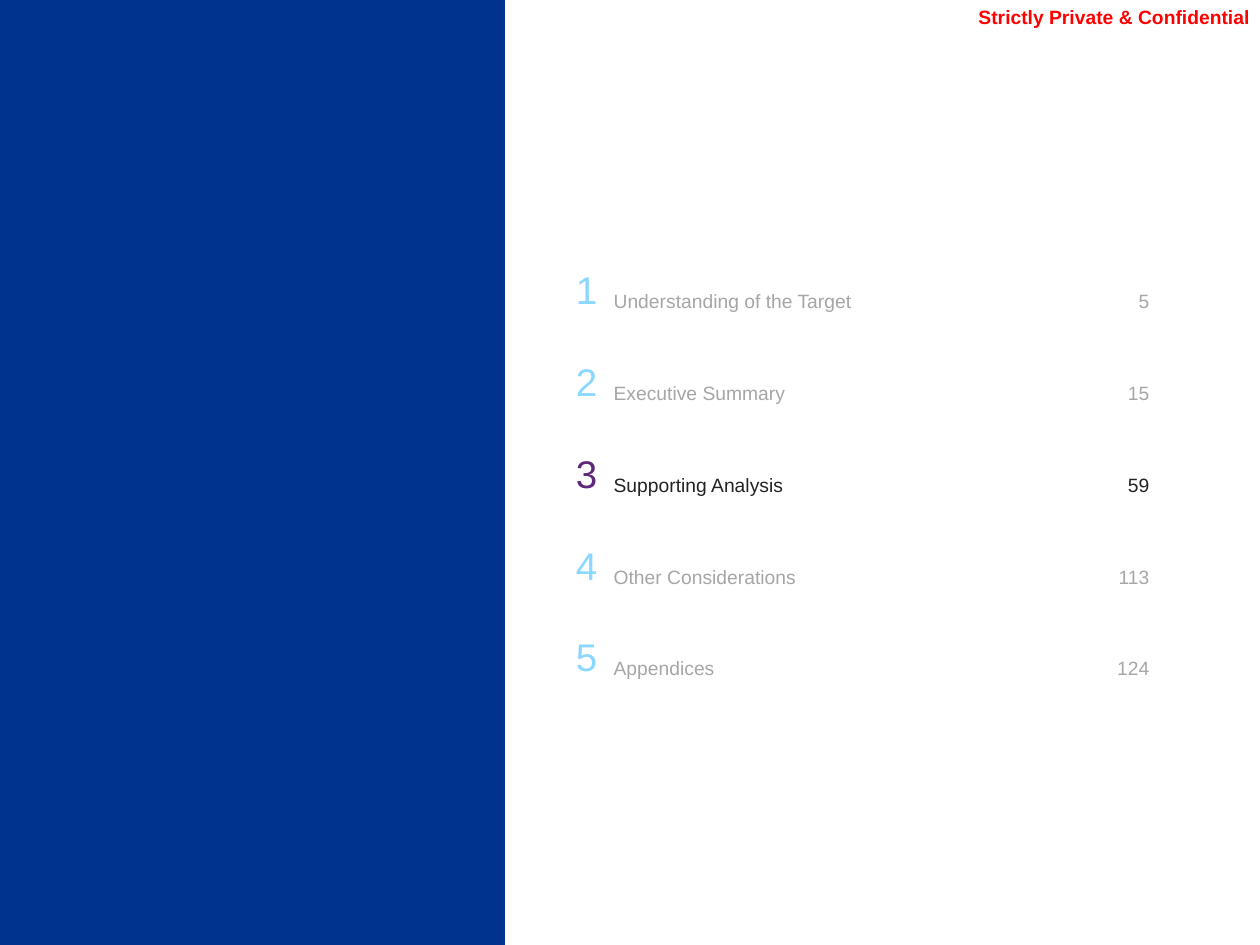
import pptx
import pptx.dml.color
import pptx.enum.shapes
import pptx.enum.text
import pptx.util

Cm = pptx.util.Cm
ALIGN = pptx.enum.text.PP_ALIGN
ANCHOR = pptx.enum.text.MSO_ANCHOR

FONT = "Arial"
PANEL_BLUE = "00338D"
WARNING_RED = "FF0000"
MUTED = {"number": "8AD8FF", "text": "A6A6A6"}
ACTIVE = {"number": "5D287A", "text": "232323"}

SECTIONS = [
    ("Understanding of the Target", 5),
    ("Executive Summary", 15),
    ("Supporting Analysis", 59),
    ("Other Considerations", 113),
    ("Appendices", 124),
]
ACTIVE_SECTION = 3
COLUMN_WIDTHS = (1.32, 9.83, 1.3)
ROW_HEIGHT = 1.85

# Cell margins in cm: left, top, right, bottom
NUMBER_MARGINS = (0.23, 0.13, 0.23, 0.13)
TITLE_MARGINS = (0.1, 0.56, 0, 0.13)
PAGE_MARGINS = (0.23, 0.56, 0.23, 0.13)


def rgb(hex_colour):
    return pptx.dml.color.RGBColor.from_string(hex_colour)


def write_text(frame, text, *, size=11, colour, bold=False, align=ALIGN.LEFT):
    paragraph = frame.paragraphs[0]
    paragraph.alignment = align
    run = paragraph.add_run()
    run.text = text
    run.font.name = FONT
    run.font.size = pptx.util.Pt(size)
    run.font.bold = bold
    run.font.color.rgb = rgb(colour)


def set_margins(holder, margins):
    (holder.margin_left, holder.margin_top,
     holder.margin_right, holder.margin_bottom) = map(Cm, margins)


def add_panel(slide, width, height):
    panel = slide.shapes.add_shape(
        pptx.enum.shapes.MSO_SHAPE.RECTANGLE, 0, 0, width, height)
    panel.shadow.inherit = False
    panel.fill.solid()
    panel.fill.fore_color.rgb = rgb(PANEL_BLUE)
    panel.line.fill.background()


def add_confidentiality_note(slide):
    note = slide.shapes.add_textbox(Cm(18.95), Cm(-0.03), Cm(6.35), Cm(0.71))
    frame = note.text_frame
    frame.word_wrap = True
    frame.vertical_anchor = ANCHOR.BOTTOM
    set_margins(frame, (0, 0.1, 0.1, 0.1))
    write_text(frame, "Strictly Private & Confidential",
               colour=WARNING_RED, bold=True, align=ALIGN.RIGHT)


def fill_cell(cell, text, margins, **text_format):
    cell.fill.background()
    cell.vertical_anchor = ANCHOR.MIDDLE
    set_margins(cell, margins)
    write_text(cell.text_frame, text, **text_format)


def add_contents(slide):
    contents = slide.shapes.add_table(
        len(SECTIONS), len(COLUMN_WIDTHS), Cm(10.95), Cm(4.95),
        Cm(sum(COLUMN_WIDTHS)), Cm(ROW_HEIGHT * len(SECTIONS))).table
    contents.first_row = False
    contents.horz_banding = False
    for column, width in zip(contents.columns, COLUMN_WIDTHS):
        column.width = Cm(width)

    for number, (title, page) in enumerate(SECTIONS, start=1):
        row = contents.rows[number - 1]
        row.height = Cm(ROW_HEIGHT)
        colours = ACTIVE if number == ACTIVE_SECTION else MUTED
        number_cell, title_cell, page_cell = row.cells
        fill_cell(number_cell, str(number), NUMBER_MARGINS, size=22,
                  colour=colours["number"], align=ALIGN.RIGHT)
        fill_cell(title_cell, title, TITLE_MARGINS, colour=colours["text"])
        fill_cell(page_cell, str(page), PAGE_MARGINS,
                  colour=colours["text"], align=ALIGN.RIGHT)


def main():
    deck = pptx.Presentation()
    deck.slide_width, deck.slide_height = Cm(25.4), Cm(19.05)
    slide = deck.slides.add_slide(deck.slide_layouts[6])  # blank layout

    # Left panel and header note
    add_panel(slide, Cm(10.18), deck.slide_height)
    add_confidentiality_note(slide)

    # Table of contents with the current section highlighted
    add_contents(slide)

    deck.save("out.pptx")


if __name__ == "__main__":
    main()
